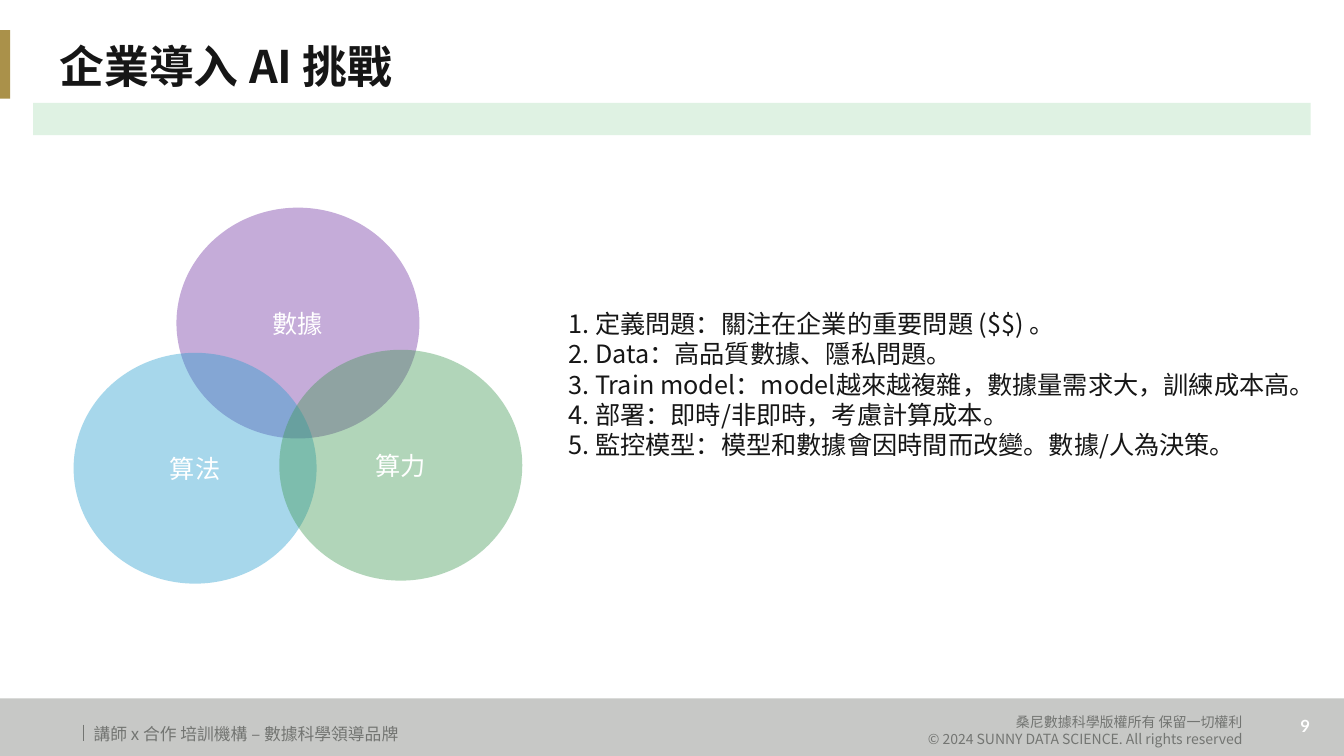
from dataclasses import dataclass

from lxml import etree
from pptx import Presentation
from pptx.dml.color import RGBColor
from pptx.enum.shapes import MSO_CONNECTOR, MSO_SHAPE
from pptx.enum.text import MSO_ANCHOR, MSO_AUTO_SIZE, PP_ALIGN
from pptx.oxml.ns import qn
from pptx.util import Inches, Pt

RECTANGLE, ELLIPSE = MSO_SHAPE.RECTANGLE, MSO_SHAPE.OVAL
STRAIGHT = MSO_CONNECTOR.STRAIGHT
LEFT, CENTER, RIGHT = PP_ALIGN.LEFT, PP_ALIGN.CENTER, PP_ALIGN.RIGHT
TOP, MIDDLE = MSO_ANCHOR.TOP, MSO_ANCHOR.MIDDLE
NO_AUTOFIT = MSO_AUTO_SIZE.NONE
TITLE_ONLY = 5


@dataclass(frozen=True)
class Theme:
    """Fonts, colours and type sizes of the slide."""

    font: str = "Noto Sans CJK SC"
    number_font: str = "Lato"
    ink: str = "161616"
    white: str = "FFFFFF"
    footer_fill: str = "C7C8C6"
    footer_ink: str = "737572"
    accent: str = "AA914A"
    band: str = "DFF2E3"
    data: str = "7030A0"
    algorithm: str = "249DCE"
    computing: str = "3E9751"
    title_size: int = 32
    body_size: int = 18
    footer_size: int = 12
    copyright_size: int = 10


THEME = Theme()
CIRCLE_SIZE = (2.41, 2.29)
CIRCLE_ALPHA = 40
CIRCLES = [
    ("數據", 1.75, 2.06, THEME.data),
    ("算法", 0.73, 3.5, THEME.algorithm),
    ("算力", 2.77, 3.47, THEME.computing),
]
CHALLENGES = [
    "1. 定義問題：關注在企業的重要問題 ($$) 。",
    "2. Data：高品質數據、隱私問題。",
    "3. Train model：model越來越複雜，數據量需求大，訓練成本高。",
    "4. 部署：即時/非即時，考慮計算成本。",
    "5. 監控模型：模型和數據會因時間而改變。數據/人為決策。",
]
COPYRIGHT = [
    "桑尼數據科學版權所有 保留一切權利",
    "© 2024 SUNNY DATA SCIENCE. All rights reserved",
]


def apply_format(target, values):
    """Set each named attribute of the target."""
    for name, value in values.items():
        setattr(target, name, value)


def write_text(shape, lines, size, color, align=LEFT, anchor=TOP,
               font=THEME.font, bold=False, wrap=True, spacing=1.0):
    """Fill a shape with one formatted paragraph per line."""
    frame = shape.text_frame
    frame.text = "\n".join(lines)
    apply_format(frame, {
        "auto_size": NO_AUTOFIT, "word_wrap": wrap, "vertical_anchor": anchor,
        "margin_left": Inches(0.1), "margin_right": Inches(0.1),
        "margin_top": Inches(0.05), "margin_bottom": Inches(0.05),
    })
    for paragraph in frame.paragraphs:
        apply_format(paragraph, {
            "alignment": align, "line_spacing": spacing,
            "space_before": Pt(0), "space_after": Pt(0),
        })
        for run in paragraph.runs:
            apply_format(run.font, {"name": font, "size": Pt(size), "bold": bold})
            run.font.color.rgb = RGBColor.from_string(color)
            east_asian = etree.SubElement(run.font._element, qn("a:ea"))
            east_asian.set("typeface", font)


def add_text(slide, box, lines, size, color, **options):
    """Add a text box holding the given lines."""
    shape = slide.shapes.add_textbox(*map(Inches, box))
    write_text(shape, lines, size, color, **options)


def add_filled_shape(slide, kind, box, color):
    """Add a flat preset shape without outline or shadow."""
    shape = slide.shapes.add_shape(kind, *map(Inches, box))
    shape.shadow.inherit = False
    shape.fill.solid()
    shape.fill.fore_color.rgb = RGBColor.from_string(color)
    shape.line.fill.background()
    return shape


def add_circle(slide, label, left, top, color):
    """Add one translucent labelled circle of the Venn diagram."""
    circle = add_filled_shape(slide, ELLIPSE, (left, top, *CIRCLE_SIZE), color)
    fill_color = circle.element.spPr.find(qn("a:solidFill")).find(qn("a:srgbClr"))
    alpha = etree.SubElement(fill_color, qn("a:alpha"))
    alpha.set("val", str(CIRCLE_ALPHA * 1000))
    write_text(circle, [label], THEME.body_size, THEME.white,
               align=CENTER, anchor=MIDDLE)


def add_line(slide, start, end, color, width):
    """Add a straight line without shadow."""
    line = slide.shapes.add_connector(STRAIGHT, *map(Inches, (*start, *end)))
    line.line.color.rgb = RGBColor.from_string(color)
    line.line.width = Pt(width)
    etree.SubElement(line.element.spPr, qn("a:effectLst"))


def add_footer(slide):
    """Add the footer bar with its tagline, copyright and page number."""
    add_filled_shape(slide, RECTANGLE, (0, 6.93, 13.33, 0.57), THEME.footer_fill)
    add_line(slide, (0.83, 7.19), (0.83, 7.35), THEME.footer_ink, 0.5)
    add_text(slide, (12.75, 7.05, 0.39, 0.3), ["9"], THEME.footer_size,
             THEME.white, align=CENTER, font=THEME.number_font, bold=True, wrap=False)
    add_text(slide, (7.68, 7.03, 4.74, 0.44), COPYRIGHT, THEME.copyright_size,
             THEME.footer_ink, align=RIGHT)
    add_text(slide, (0.83, 7.13, 4.74, 0.3), ["講師 x 合作 培訓機構 – 數據科學領導品牌"],
             THEME.footer_size, THEME.footer_ink)


def set_title(slide, text):
    """Place and format the title placeholder."""
    title = slide.shapes.title
    apply_format(title, {"left": Inches(0.49), "top": Inches(0.26),
                         "width": Inches(12.42), "height": Inches(0.85)})
    write_text(title, [text], THEME.title_size, THEME.ink,
               anchor=MIDDLE, bold=True, spacing=0.9)


def main():
    """Build and save the slide."""
    presentation = Presentation()
    apply_format(presentation, {"slide_width": Inches(13.33),
                                "slide_height": Inches(7.5)})
    slide = presentation.slides.add_slide(presentation.slide_layouts[TITLE_ONLY])
    add_footer(slide)
    add_filled_shape(slide, RECTANGLE, (-0.03, 0.3, 0.13, 0.68), THEME.accent)
    set_title(slide, "企業導入 AI 挑戰")
    add_filled_shape(slide, RECTANGLE, (0.33, 1.02, 12.67, 0.32), THEME.band)
    for circle in CIRCLES:
        add_circle(slide, *circle)
    add_text(slide, (5.54, 3.01, 7.47, 1.62), CHALLENGES, THEME.body_size, THEME.ink)
    presentation.save("out.pptx")


if __name__ == "__main__":
    main()
